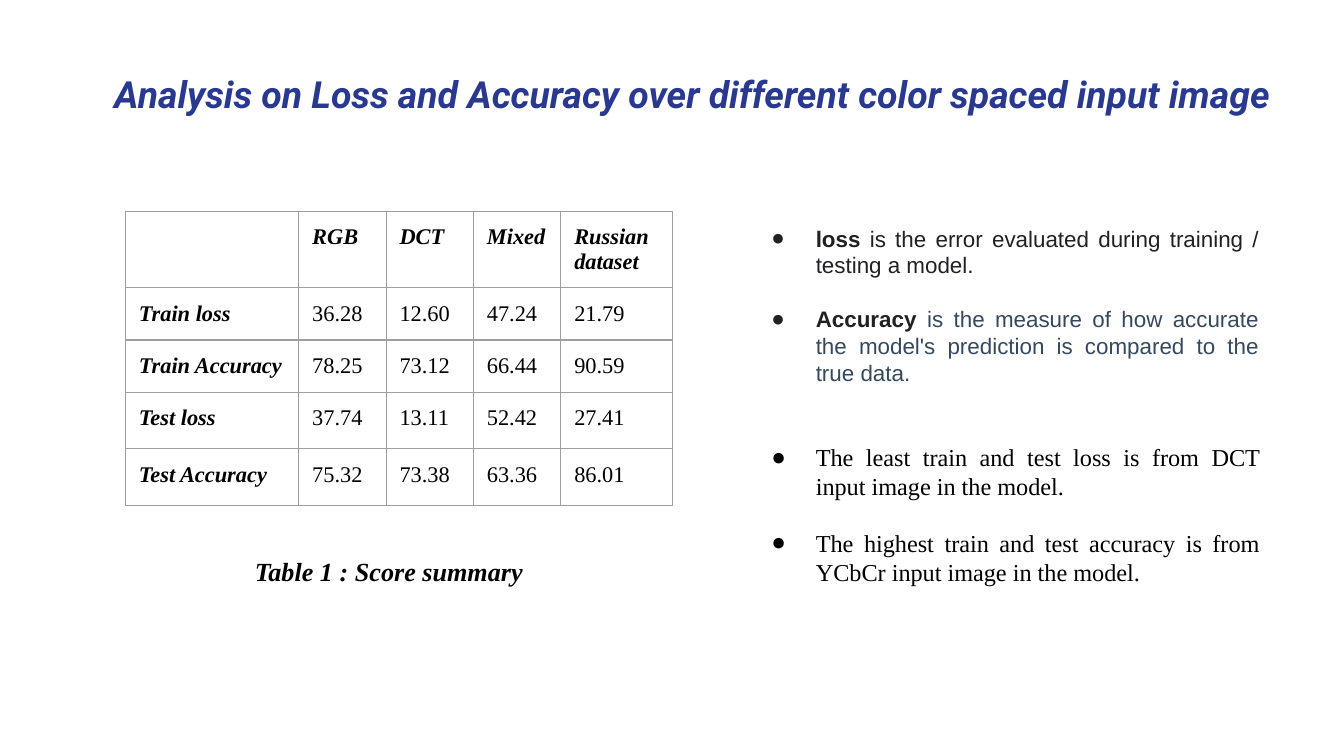
from lxml.etree import SubElement
from pptx import Presentation
from pptx.dml.color import RGBColor
from pptx.enum.text import MSO_ANCHOR as Anchor, MSO_AUTO_SIZE as AutoSize, PP_ALIGN as Align
from pptx.oxml.ns import qn
from pptx.util import Inches, Pt

WIDTH = Inches(10)
HEIGHT = WIDTH * 9 // 16
INSET = Inches(0.1)
SERIF = "Times New Roman"
SCORES = [
    ["", "RGB", "DCT", "Mixed", "Russian\ndataset"],
    ["Train loss", "36.28", "12.60", "47.24", "21.79"],
    ["Train Accuracy", "78.25", "73.12", "66.44", "90.59"],
    ["Test loss", "37.74", "13.11", "52.42", "27.41"],
    ["Test Accuracy", "75.32", "73.38", "63.36", "86.01"],
]
COLUMN_SHARES = [12.9, 6.5, 6.5, 6.5, 8.3]
ROW_SHARES = [10.1, 6.9, 6.9, 7.5, 7.5]
DEFINITIONS = [
    [("loss", "202124", True),
     (" is the error evaluated during training / testing a model.", "202124", False)],
    [("Accuracy", "202124", True),
     (" is the measure of how accurate the model's prediction is compared to the true data.",
      "34495E", False)],
]
FINDINGS = [
    [("The least train and test loss is from DCT input image in the model.", "000000", False)],
    [("The highest train and test accuracy is from YCbCr input image in the model.",
      "000000", False)],
]


def across(share):
    """Turn a percentage of the slide's width into a length."""
    return round(WIDTH * share / 100)


def down(share):
    """Turn a percentage of the slide's height into a length."""
    return round(HEIGHT * share / 100)


def apply(target, values):
    """Set every attribute in a dict of format values."""
    for name, value in values.items():
        setattr(target, name, value)


def style(font, color, **values):
    """Format a font, with its colour given as a hex string."""
    apply(font, values)
    font.color.rgb = RGBColor.from_string(color)


def place(box, left, top, width, height):
    """Position a text shape by percentages of the slide and set its frame."""
    apply(box, dict(left=across(left), top=down(top),
                    width=across(width), height=down(height)))
    apply(box.text_frame, dict(margin_left=INSET, margin_right=INSET,
                               margin_top=INSET, margin_bottom=INSET,
                               word_wrap=True, auto_size=AutoSize.NONE,
                               vertical_anchor=Anchor.TOP))


def write_heading(box, text, color, **values):
    """Write one centred bold italic line."""
    line = box.text_frame.paragraphs[0]
    line.alignment = Align.CENTER
    run = line.add_run()
    run.text = text
    style(run.font, color, bold=True, italic=True, **values)


def add_bullet(paragraph, color):
    """Give a paragraph a hanging round bullet."""
    properties = paragraph._p.get_or_add_pPr()
    properties.set("marL", str(Inches(0.5)))
    properties.set("indent", str(-Inches(0.33)))
    SubElement(SubElement(properties, qn("a:buClr")), qn("a:srgbClr"), val=color)
    SubElement(properties, qn("a:buFont"), typeface="Arial")
    SubElement(properties, qn("a:buChar"), char="●")


def write_list(box, items, **values):
    """Write justified bullets made of coloured runs."""
    frame = box.text_frame
    for index, parts in enumerate(items):
        item = frame.add_paragraph() if index else frame.paragraphs[0]
        add_bullet(item, parts[0][1])
        apply(item, dict(alignment=Align.JUSTIFY, line_spacing=1.0,
                         space_before=Pt(14.5 if index else 0), space_after=Pt(0)))
        for text, color, bold in parts:
            run = item.add_run()
            run.text = text
            style(run.font, color, bold=bold, **values)


def add_borders(cell, color):
    """Draw a thin line on all four sides of a cell."""
    for side in ("lnL", "lnR", "lnT", "lnB"):
        line = SubElement(cell._tc.get_or_add_tcPr(), qn(f"a:{side}"), w=str(Pt(0.75)))
        SubElement(SubElement(line, qn("a:solidFill")), qn("a:srgbClr"), val=color)


def add_score_table(slide, left, top):
    """Add the table of losses and accuracies."""
    table = slide.shapes.add_table(
        len(SCORES), len(SCORES[0]), across(left), down(top),
        across(sum(COLUMN_SHARES)), down(sum(ROW_SHARES))).table
    apply(table, dict(first_row=False, horz_banding=False))
    for column, share in zip(table.columns, COLUMN_SHARES):
        column.width = across(share)
    for r, (row, share) in enumerate(zip(table.rows, ROW_SHARES)):
        row.height = down(share)
        for c, cell in enumerate(row.cells):
            apply(cell, dict(text=SCORES[r][c], margin_left=INSET, margin_right=INSET,
                             margin_top=INSET, margin_bottom=INSET))
            add_borders(cell, "9E9E9E")
            cell.fill.background()
            label = r == 0 or c == 0
            for line in cell.text_frame.paragraphs:
                style(line.font, "000000", name=SERIF, size=Pt(12), bold=label, italic=label)


def main():
    """Build the score summary slide."""
    deck = Presentation()
    apply(deck, dict(slide_width=WIDTH, slide_height=HEIGHT))
    slide = deck.slides.add_slide(deck.slide_layouts[3])
    title, definitions, findings = slide.placeholders

    place(title, 6.53, 7.65, 90, 9.6)
    write_heading(title, "Analysis on Loss and Accuracy over different color spaced input image",
                  "2A3990", name="Roboto", size=Pt(20))
    add_score_table(slide, 9.33, 27.94)
    caption = slide.shapes.add_textbox(0, 0, 0, 0)
    place(caption, 12.3, 71.7, 33.3, 7.8)
    write_heading(caption, "Table 1 : Score summary", "000000", name=SERIF, size=Pt(14))
    place(definitions, 54.7, 27.94, 40, 28.8)
    write_list(definitions, DEFINITIONS, name="Arial", size=Pt(12))
    place(findings, 54.7, 56.76, 40, 23.7)
    write_list(findings, FINDINGS, name=SERIF, size=Pt(13))
    deck.save("out.pptx")


if __name__ == "__main__":
    main()
